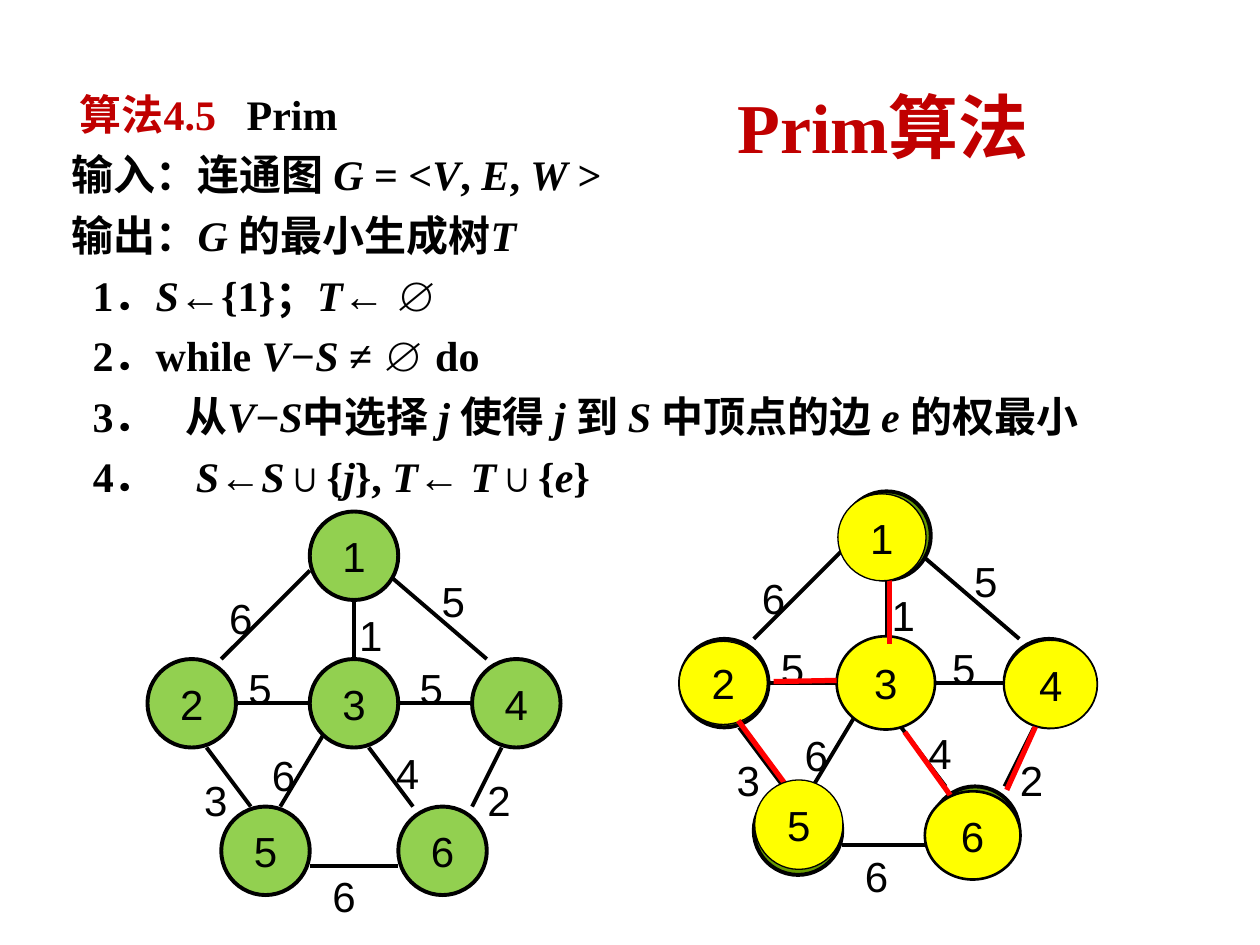
from dataclasses import dataclass
from typing import Any, Optional, Union

import pptx
import pptx.dml.color
import pptx.enum.shapes
import pptx.enum.text
import pptx.oxml
import pptx.shapes.shapetree
import pptx.util

Pt = pptx.util.Pt
Align = pptx.enum.text.PP_ALIGN
Anchor = pptx.enum.text.MSO_ANCHOR
Canvas = Union[pptx.shapes.shapetree.SlideShapes, pptx.shapes.shapetree.GroupShapes]
Point = tuple[float, float]


@dataclass(frozen=True)
class Theme:
    ink: str = "000000"
    accent: str = "C00000"
    plain_node: str = "92D050"
    covered_node: str = "669900"
    chosen_node: str = "FFFF00"
    tree_edge: str = "FF0000"
    serif: str = "Times New Roman"
    sans: str = "Arial"
    cjk_title: str = "Calibri"
    title_size: float = 40
    text_size: float = 24
    edge_width: float = 2.25
    tree_width: float = 3


@dataclass(frozen=True)
class Node:
    name: str
    left: float
    top: float
    width: float = 6
    height: float = 6
    outline: float = 2.25


@dataclass(frozen=True)
class Edge:
    start: Point
    end: Point
    weight: str = ""
    label_at: Point = (0, 0)


@dataclass(frozen=True)
class Step:
    """Asterisks switch italics; a tab jumps to the hang position."""
    text: str
    first_left: float = 0
    hang: float = 0
    lead: str = ""


THEME = Theme()

# The graph lies on a square grid: a node is 6 units wide
UNIT = 8.43
GRAPH_NODES = [
    Node("1", 11, 0), Node("2", 0, 10), Node("4", 22, 10),
    Node("3", 11, 10), Node("5", 5, 20), Node("6", 17, 20),
]
GRAPH_EDGES = [
    Edge((11, 4), (5, 10), "6", (4.7, 5.1)),
    Edge((14, 6), (14, 10), "1", (13.5, 6.2)),
    Edge((16, 4), (23, 10), "5", (19.1, 3.9)),
    Edge((6, 13), (12, 13), "5", (6, 9.8)),
    Edge((12, 15), (9, 20), "6", (7.6, 15.7)),
    Edge((4, 16), (7, 20), "3", (3, 17.4)),
    Edge((11, 24), (17, 24), "6", (11.7, 23.9)),
    Edge((17, 13), (22, 13), "5", (17.6, 9.8)),
    Edge((15, 16), (18, 20), "4", (16, 15.6)),
    Edge((24, 16), (22, 20), "2", (22.2, 17.4)),
]

# Spanning tree, in points, in stacking order
SPANNING_TREE = [
    Node("3", 478.1, 363.6, 56.2, 53.3, 1.5),
    Edge((508.3, 330.5), (508.3, 367.9)),
    Edge((517, 418.3), (545, 457.2)),
    Node("6", 528.5, 452.2, 54.7, 50.4, 1.5),
    Edge((596.2, 405.4), (575.3, 451.4)),
    Node("4", 573.8, 365.8, 53.3, 50.4, 1),
    Edge((442.1, 389.5), (478.1, 388.8)),
    Node("2", 388.1, 366.5, 50.4, 47.5, 0.75),
    Edge((421.9, 411.8), (450.7, 450.7)),
    Node("5", 431.3, 445.7, 50.4, 51.1, 0.75),
    Node("1", 478.8, 282.2, 50.4, 49.7, 0.75),
]

ALGORITHM = [
    Step("\tPrim", 4.5, 100, lead="算法4.5"),
    Step("输入：连通图 *G *= <*V*, *E*, *W *>"),
    Step("输出：*G *的最小生成树*T*"),
    Step("1．*S*←{1}；*T*← ∅", 12, 12),
    Step("2．while *V−S *≠ ∅ do", 12, 12),
    Step("3．\t从*V*−*S*中选择 *j *使得 *j *到 *S *中顶点的边 *e *的权最小", 12, 65),
    Step("4．\t*S*←*S*∪{*j*}, *T*← *T*∪{*e*}", 12, 71),
]


def rgb(value: str) -> pptx.dml.color.RGBColor:
    return pptx.dml.color.RGBColor.from_string(value)


def write(paragraph: Any, text: str, *, font: str = THEME.sans,
          size: float = THEME.text_size, color: str = THEME.ink,
          bold: bool = False, italic: bool = False,
          align: Optional[Align] = None) -> None:
    run = paragraph.add_run()
    run.text = text
    run.font.name, run.font.size = font, Pt(size)
    run.font.bold, run.font.italic = bold, italic
    run.font.color.rgb = rgb(color)
    if align is not None:
        paragraph.alignment = align


def draw_line(canvas: Canvas, edge: Edge, color: str, width: float) -> None:
    line = canvas.add_connector(
        pptx.enum.shapes.MSO_CONNECTOR.STRAIGHT,
        *(Pt(value) for value in (*edge.start, *edge.end)))
    line.line.color.rgb = rgb(color)
    line.line.width = Pt(width)
    pptx.oxml.ns.qn("a:effectLst")
    line._element.spPr.append(pptx.oxml.xmlchemy.OxmlElement("a:effectLst"))


def draw_node(canvas: Canvas, node: Node, fill: str) -> None:
    circle = canvas.add_shape(
        pptx.enum.shapes.MSO_SHAPE.OVAL, Pt(node.left), Pt(node.top),
        Pt(node.width), Pt(node.height))
    circle.shadow.inherit = False
    circle.fill.solid()
    circle.fill.fore_color.rgb = rgb(fill)
    circle.line.color.rgb = rgb(THEME.ink)
    circle.line.width = Pt(node.outline)
    circle.text_frame.word_wrap = False
    circle.text_frame.vertical_anchor = Anchor.MIDDLE
    write(circle.text_frame.paragraphs[0], node.name, align=Align.CENTER)


def draw_graph(canvas: Canvas, left: float, top: float, fill: str) -> None:
    def place(point: Point) -> Point:
        return left + point[0] * UNIT, top + point[1] * UNIT

    for edge in GRAPH_EDGES:
        draw_line(canvas, Edge(place(edge.start), place(edge.end)),
                  THEME.ink, THEME.edge_width)
    for node in GRAPH_NODES:
        draw_node(canvas, Node(node.name, *place((node.left, node.top)),
                               node.width * UNIT, node.height * UNIT), fill)
    for edge in GRAPH_EDGES:
        x, y = place(edge.label_at)
        weight = canvas.add_textbox(Pt(x), Pt(y), Pt(24.2), Pt(31.7))
        weight.text_frame.word_wrap = False
        write(weight.text_frame.paragraphs[0], edge.weight)


def move(placeholder: Any, left: float, top: float, width: float, height: float) -> None:
    placeholder.left, placeholder.top = Pt(left), Pt(top)
    placeholder.width, placeholder.height = Pt(width), Pt(height)
    placeholder.text_frame.auto_size = pptx.enum.text.MSO_AUTO_SIZE.NONE


def write_step(paragraph: Any, step: Step) -> None:
    paragraph.alignment = Align.JUSTIFY
    paragraph.line_spacing = 1.2
    paragraph.space_before = Pt(0)
    properties = paragraph._p.get_or_add_pPr()
    properties.set("marL", str(Pt(step.hang)))
    properties.set("indent", str(Pt(step.first_left - step.hang)))
    properties.append(pptx.oxml.xmlchemy.OxmlElement("a:buNone"))
    if step.lead:
        write(paragraph, step.lead, font=THEME.serif, color=THEME.accent, bold=True)
    for index, part in enumerate(step.text.split("*")):
        if part:
            write(paragraph, part, font=THEME.serif, bold=True, italic=index % 2 == 1)


def main() -> None:
    deck = pptx.Presentation()
    deck.slide_width, deck.slide_height = Pt(720), Pt(540)
    slide = deck.slides.add_slide(deck.slide_layouts[1])

    # Title
    title = slide.shapes.title
    move(title, 355.7, 46.8, 298, 49.7)
    heading = title.text_frame.paragraphs[0]
    for word, font in (("Prim", THEME.serif), ("算法", THEME.cjk_title)):
        write(heading, word, font=font, size=THEME.title_size,
              color=THEME.accent, bold=True, align=Align.CENTER)

    # Algorithm steps
    algorithm = slide.placeholders[1]
    move(algorithm, 33.8, 41, 663.8, 251.3)
    frame = algorithm.text_frame
    for index, step in enumerate(ALGORITHM):
        write_step(frame.add_paragraph() if index else frame.paragraphs[0], step)

    # Result graph on the right, input graph on the left
    draw_graph(slide.shapes.add_group_shape().shapes, 388.6, 280.8, THEME.covered_node)
    draw_graph(slide.shapes.add_group_shape().shapes, 84.3, 292.3, THEME.plain_node)

    # Minimum spanning tree over the result graph
    for part in SPANNING_TREE:
        if isinstance(part, Node):
            draw_node(slide.shapes, part, THEME.chosen_node)
        else:
            draw_line(slide.shapes, part, THEME.tree_edge, THEME.tree_width)

    deck.save("out.pptx")


if __name__ == "__main__":
    main()
